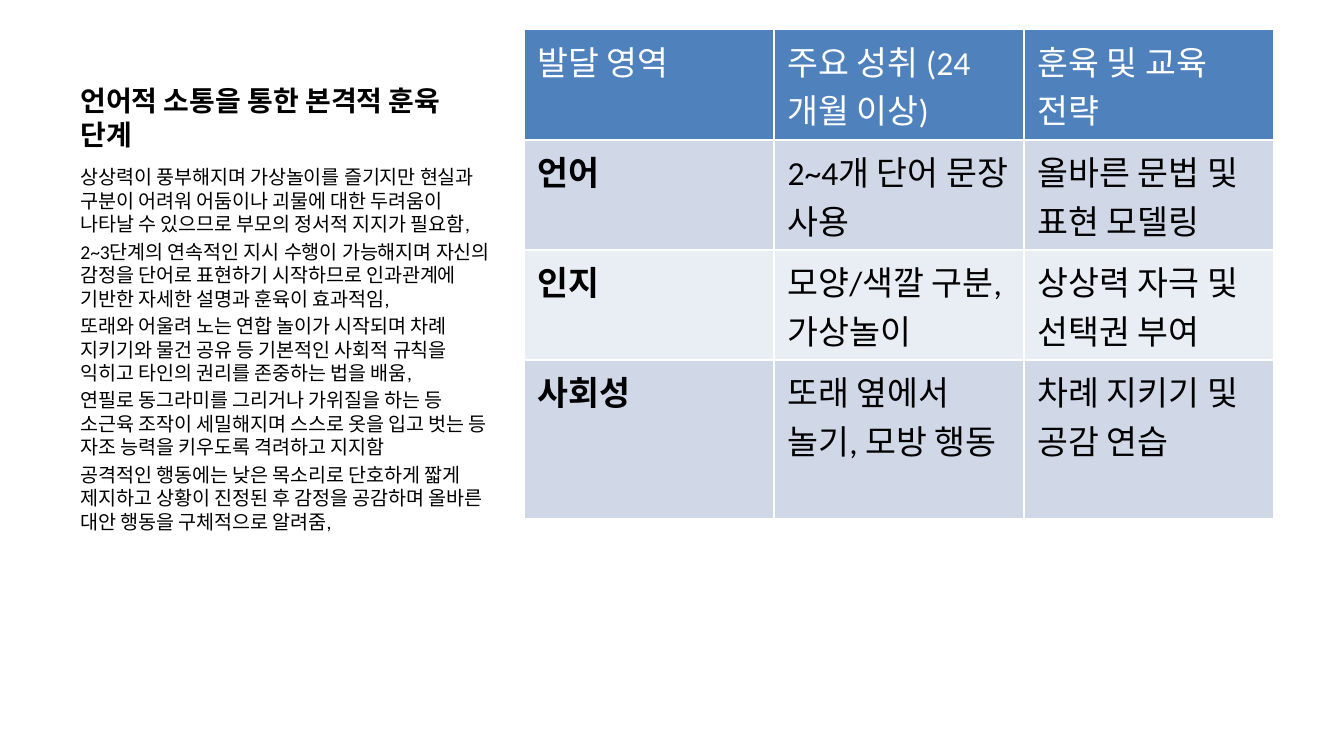
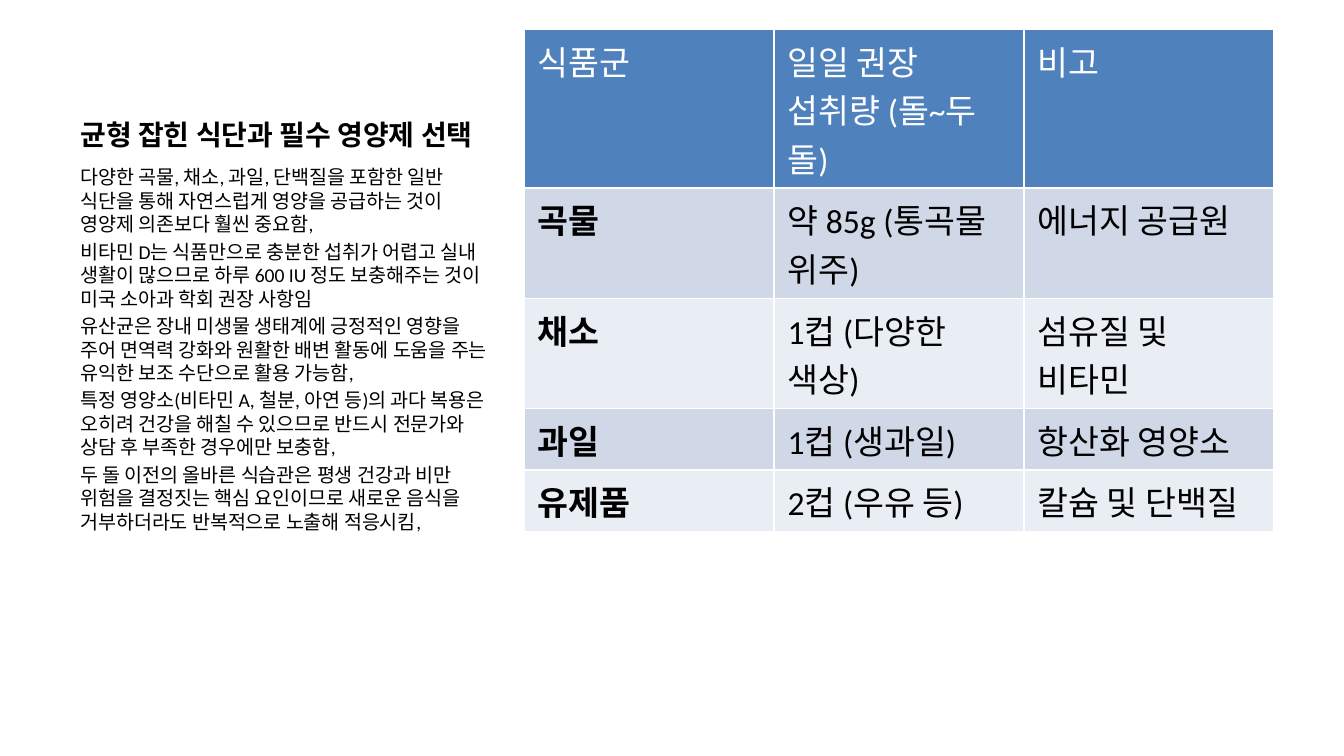
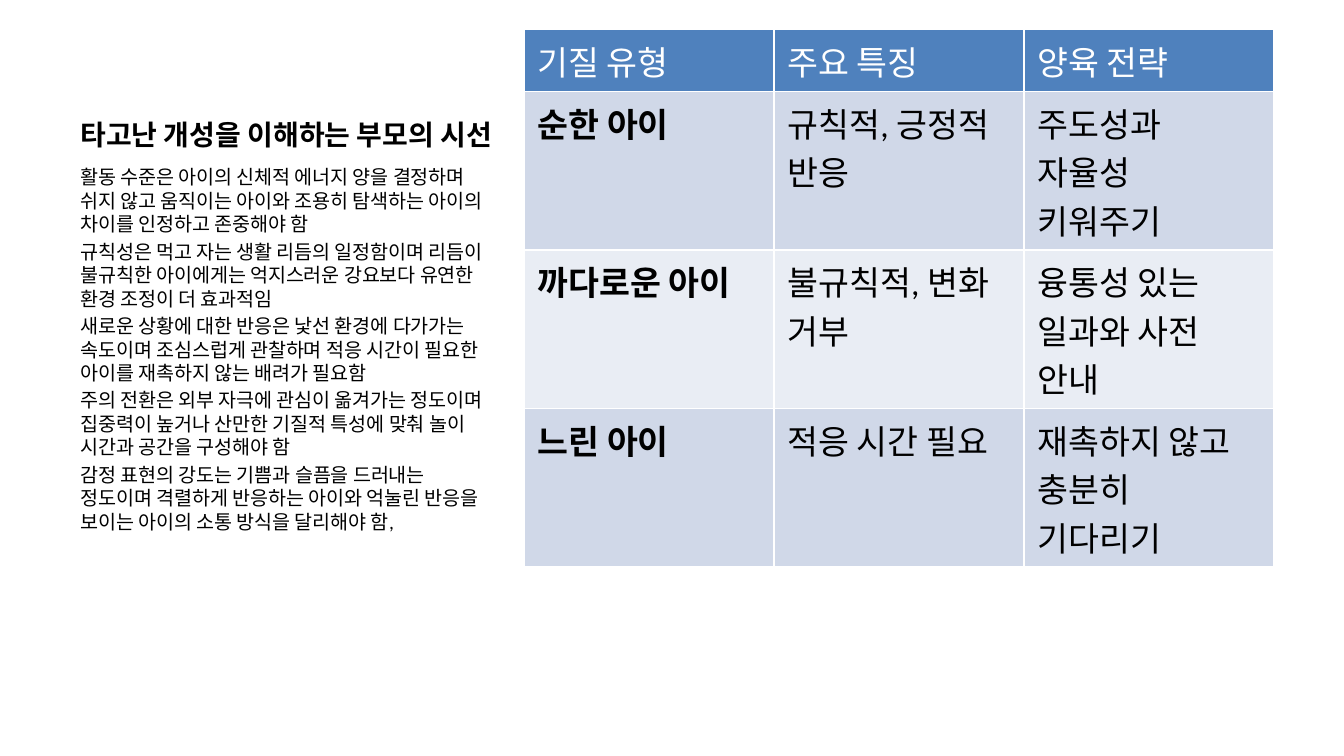
from pptx import Presentation
from pptx.dml.color import RGBColor
from pptx.enum.text import MSO_ANCHOR
from pptx.util import Inches, Pt

FONT = "Calibri"
BLACK, WHITE, HEADER = "000000", "FFFFFF", "4F81BD"
BANDS = ("D0D8E8", "E9EDF4")

LEFT, TOP, TEXT_WIDTH = 0.5, 0.22, 3.29
TITLE_HEIGHT, BODY_TOP, BODY_HEIGHT = 0.95, 1.18, 3.85
TABLE_LEFT, TABLE_WIDTH, TABLE_HEIGHT = 3.9, 5.58, 4.79
CELL_PADDING, LINE_HEIGHT = 0.1, 0.36

TITLE_STYLE = {"size": Pt(15), "bold": True}
BODY_STYLE = {"size": Pt(10.5), "bold": False}

SLIDES = [
    {
        "title": "언어적 소통을 통한 본격적 훈육 단계",
        "body": [
            "상상력이 풍부해지며 가상놀이를 즐기지만 현실과 구분이 어려워 어둠이나 괴물에 대한 두려움이 나타날 수 있으므로 부모의 정서적 지지가 필요함,",
            "2~3단계의 연속적인 지시 수행이 가능해지며 자신의 감정을 단어로 표현하기 시작하므로 인과관계에 기반한 자세한 설명과 훈육이 효과적임,",
            "또래와 어울려 노는 연합 놀이가 시작되며 차례 지키기와 물건 공유 등 기본적인 사회적 규칙을 익히고 타인의 권리를 존중하는 법을 배움,",
            "연필로 동그라미를 그리거나 가위질을 하는 등 소근육 조작이 세밀해지며 스스로 옷을 입고 벗는 등 자조 능력을 키우도록 격려하고 지지함",
            "공격적인 행동에는 낮은 목소리로 단호하게 짧게 제지하고 상황이 진정된 후 감정을 공감하며 올바른 대안 행동을 구체적으로 알려줌,",
        ],
        "table": [
            ("발달 영역", "주요 성취 (24개월 이상)", "훈육 및 교육 전략"),
            ("언어", "2~4개 단어 문장 사용", "올바른 문법 및 표현 모델링"),
            ("인지", "모양/색깔 구분, 가상놀이", "상상력 자극 및 선택권 부여"),
            ("사회성", "또래 옆에서 놀기, 모방 행동", "차례 지키기 및 공감 연습"),
        ],
        "row_lines": (2, 2, 2, 3),
    },
    {
        "title": "균형 잡힌 식단과 필수 영양제 선택",
        "body": [
            "다양한 곡물, 채소, 과일, 단백질을 포함한 일반 식단을 통해 자연스럽게 영양을 공급하는 것이 영양제 의존보다 훨씬 중요함,",
            "비타민 D는 식품만으로 충분한 섭취가 어렵고 실내 생활이 많으므로 하루 600 IU 정도 보충해주는 것이 미국 소아과 학회 권장 사항임",
            "유산균은 장내 미생물 생태계에 긍정적인 영향을 주어 면역력 강화와 원활한 배변 활동에 도움을 주는 유익한 보조 수단으로 활용 가능함,",
            "특정 영양소(비타민 A, 철분, 아연 등)의 과다 복용은 오히려 건강을 해칠 수 있으므로 반드시 전문가와 상담 후 부족한 경우에만 보충함,",
            "두 돌 이전의 올바른 식습관은 평생 건강과 비만 위험을 결정짓는 핵심 요인이므로 새로운 음식을 거부하더라도 반복적으로 노출해 적응시킴,",
        ],
        "table": [
            ("식품군", "일일 권장 섭취량 (돌~두 돌)", "비고"),
            ("곡물", "약 85g (통곡물 위주)", "에너지 공급원"),
            ("채소", "1컵 (다양한 색상)", "섬유질 및 비타민"),
            ("과일", "1컵 (생과일)", "항산화 영양소"),
            ("유제품", "2컵 (우유 등)", "칼슘 및 단백질"),
        ],
        "row_lines": (3, 2, 2, 1, 1),
    },
    {
        "title": "타고난 개성을 이해하는 부모의 시선",
        "body": [
            "활동 수준은 아이의 신체적 에너지 양을 결정하며 쉬지 않고 움직이는 아이와 조용히 탐색하는 아이의 차이를 인정하고 존중해야 함",
            "규칙성은 먹고 자는 생활 리듬의 일정함이며 리듬이 불규칙한 아이에게는 억지스러운 강요보다 유연한 환경 조정이 더 효과적임",
            "새로운 상황에 대한 반응은 낯선 환경에 다가가는 속도이며 조심스럽게 관찰하며 적응 시간이 필요한 아이를 재촉하지 않는 배려가 필요함",
            "주의 전환은 외부 자극에 관심이 옮겨가는 정도이며 집중력이 높거나 산만한 기질적 특성에 맞춰 놀이 시간과 공간을 구성해야 함",
            "감정 표현의 강도는 기쁨과 슬픔을 드러내는 정도이며 격렬하게 반응하는 아이와 억눌린 반응을 보이는 아이의 소통 방식을 달리해야 함,",
        ],
        "table": [
            ("기질 유형", "주요 특징", "양육 전략"),
            ("순한 아이", "규칙적, 긍정적 반응", "주도성과 자율성 키워주기"),
            ("까다로운 아이", "불규칙적, 변화 거부", "융통성 있는 일과와 사전 안내"),
            ("느린 아이", "적응 시간 필요", "재촉하지 않고 충분히 기다리기"),
        ],
        "row_lines": (1, 3, 3, 3),
    },
]


def color(value):
    return RGBColor.from_string(value)


def add_span(para, text, style, ink=BLACK):
    span = para.add_run()
    span.text = text
    for name, value in {"name": FONT, **style}.items():
        setattr(span.font, name, value)
    span.font.color.rgb = color(ink)


def add_text(page, top, height, texts, style, anchor, space=0):
    box = page.shapes.add_textbox(Inches(LEFT), Inches(top), Inches(TEXT_WIDTH), Inches(height))
    frame = box.text_frame
    frame.word_wrap = True
    frame.vertical_anchor = anchor
    for index, text in enumerate(texts):
        para = frame.add_paragraph() if index else frame.paragraphs[0]
        para.space_before = Pt(space)
        add_span(para, text, style)


def add_grid(page, rows, row_lines):
    shape = page.shapes.add_table(
        len(rows), len(rows[0]), Inches(TABLE_LEFT), Inches(TOP), Inches(TABLE_WIDTH), Inches(TABLE_HEIGHT)
    )
    for row_index, (texts, lines) in enumerate(zip(rows, row_lines)):
        is_header = row_index == 0
        shape.table.rows[row_index].height = Inches(CELL_PADDING + LINE_HEIGHT * lines)
        for column_index, text in enumerate(texts):
            cell = shape.table.cell(row_index, column_index)
            cell.fill.solid()
            cell.fill.fore_color.rgb = color(HEADER if is_header else BANDS[(row_index - 1) % 2])
            style = {"size": Pt(18), "bold": not is_header and column_index == 0}
            add_span(cell.text_frame.paragraphs[0], text, style, WHITE if is_header else BLACK)
    shape.height = Inches(TABLE_HEIGHT)


def main():
    deck = Presentation()
    deck.slide_width = Inches(10)
    deck.slide_height = deck.slide_width * 9 // 16
    for content in SLIDES:
        page = deck.slides.add_slide(deck.slide_layouts[6])
        add_text(page, TOP, TITLE_HEIGHT, [content["title"]], TITLE_STYLE, MSO_ANCHOR.BOTTOM)
        add_text(page, BODY_TOP, BODY_HEIGHT, content["body"], BODY_STYLE, MSO_ANCHOR.TOP, 2.1)
        add_grid(page, content["table"], content["row_lines"])
    deck.save("out.pptx")


if __name__ == "__main__":
    main()
